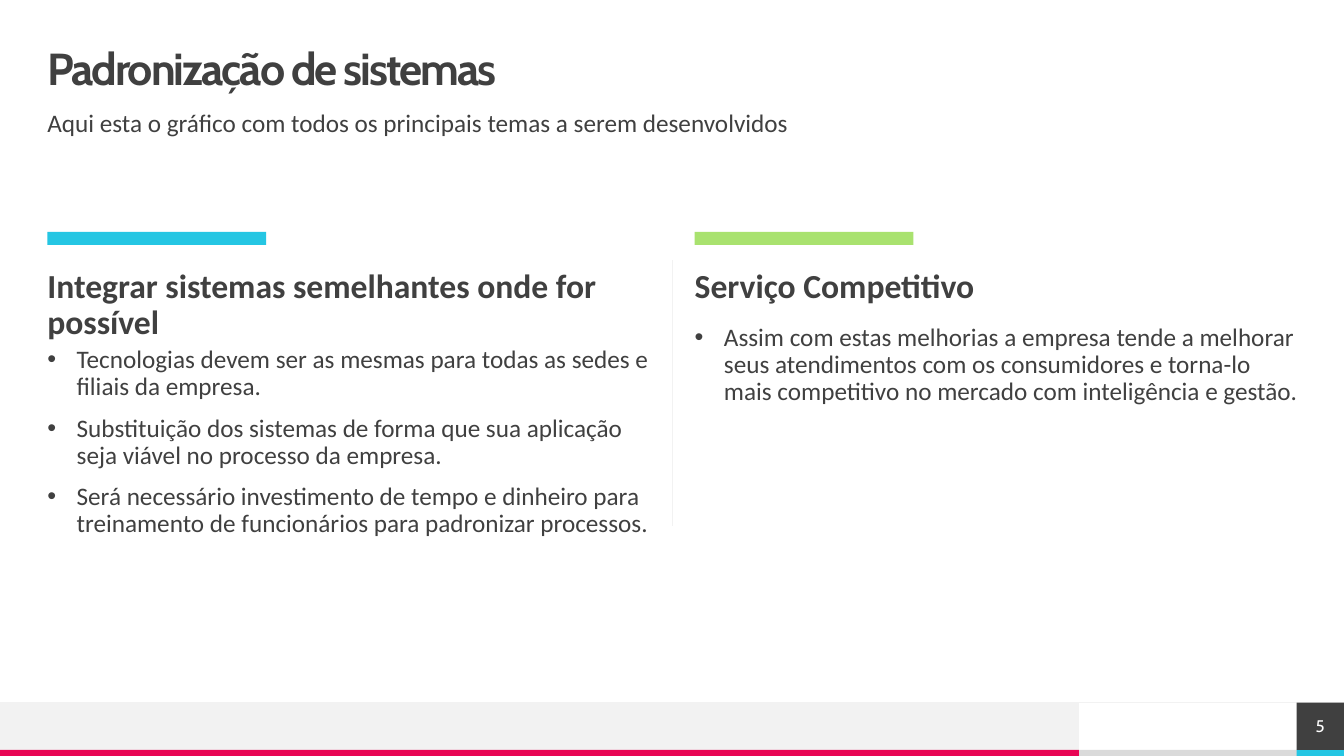
import pptx
import pptx.util
import pptx.dml.color
import pptx.enum.shapes
import pptx.enum.text
import pptx.oxml
import pptx.oxml.ns

Inches = pptx.util.Inches
Pt = pptx.util.Pt
Align = pptx.enum.text.PP_ALIGN
Anchor = pptx.enum.text.MSO_ANCHOR

HUES = {
    "white": "FFFFFF",
    "pale": "F2F2F2",
    "grey": "DADADA",
    "dark": "404040",
    "blue": "25C6E3",
    "green": "A9E26F",
    "pink": "E80554",
}
WIDTH, HEIGHT = 13.33, 7.5
LEFT, RIGHT = 0.47, 6.89
COLUMN, FULL = 5.98, 12.4
TAB = 2.17
FOOT, STRIP, EDGE = 6.97, 7.44, 12.86
BAND = 10.7


def color(name):
    return pptx.dml.color.RGBColor.from_string(HUES[name])


def bar(slide, box, hue):
    kind = pptx.enum.shapes.MSO_SHAPE.RECTANGLE
    shape = slide.shapes.add_shape(kind, *map(Inches, box))
    shape.shadow.inherit = False
    shape.fill.solid()
    shape.fill.fore_color.rgb = color(hue)
    shape.line.fill.background()
    return shape


def line(slide, start, end):
    kind = pptx.enum.shapes.MSO_CONNECTOR.STRAIGHT
    rule = slide.shapes.add_connector(kind, *map(Inches, start + end))
    rule.line.color.rgb = color("pale")
    rule.line.width = Pt(0.5)
    props = rule._element.spPr
    props.append(pptx.oxml.parse_xml(
        f'<a:effectLst {pptx.oxml.ns.nsdecls("a")}/>'))


def bullet(para):
    props = para._p.get_or_add_pPr()
    props.set("marL", str(Inches(0.29)))
    props.set("indent", str(Inches(-0.29)))
    spaces = pptx.oxml.ns.nsdecls("a")
    props.append(pptx.oxml.parse_xml(
        f'<a:buFont {spaces} typeface="Arial"/>'))
    props.append(pptx.oxml.parse_xml(f'<a:buChar {spaces} char="•"/>'))


def text(shape, lines, size=18, face="Calibri", hue="dark", bold=False,
         track=0, align=Align.LEFT, anchor=Anchor.TOP, space=0.9,
         before=10, dots=False):
    frame = shape.text_frame
    frame.word_wrap = True
    frame.vertical_anchor = anchor
    frame.margin_left = frame.margin_right = 0
    frame.margin_top = frame.margin_bottom = 0
    for index, words in enumerate(lines):
        para = frame.add_paragraph() if index else frame.paragraphs[0]
        para.alignment = align
        para.line_spacing = space
        para.space_before = Pt(before)
        if dots:
            bullet(para)
        run = para.add_run()
        run.text = words
        run.font.name = face
        run.font.size = Pt(size)
        run.font.bold = bold
        run.font.color.rgb = color(hue)
        if track:
            run._r.get_or_add_rPr().set("spc", str(round(track * 100)))


def label(slide, box, lines, **style):
    shape = slide.shapes.add_textbox(*map(Inches, box))
    text(shape, lines, **style)


def footer(slide):
    bar(slide, (BAND, STRIP, TAB, 0.06), "grey")
    bar(slide, (0, FOOT, BAND, 0.47), "pale")
    bar(slide, (0, STRIP, BAND, 0.06), "pink")
    bar(slide, (EDGE, STRIP, 0.47, 0.06), "blue")
    line(slide, (WIDTH, FOOT), (0, FOOT))
    number = bar(slide, (EDGE, FOOT, 0.47, 0.47), "dark")
    text(number, ["5"], size=12, face="Cabin", hue="white", space=1.0,
         align=Align.CENTER, anchor=Anchor.MIDDLE, before=0)


def topic(slide, left, hue, head, wide, tall, top, points):
    bar(slide, (left, 2.3, TAB, 0.13), hue)
    label(slide, (left, 2.67, wide, tall), [head], size=24, bold=True)
    label(slide, (left, top, COLUMN, 5.62 - top), points, dots=True)


def main():
    deck = pptx.Presentation()
    deck.slide_width = Inches(WIDTH)
    deck.slide_height = Inches(HEIGHT)
    slide = deck.slides.add_slide(deck.slide_layouts[6])
    footer(slide)
    label(slide, (LEFT, 0.47, FULL, 0.47), ["Padronização de sistemas"],
          size=32, face="Cabin", bold=True, track=-1.5,
          anchor=Anchor.MIDDLE, before=0)
    label(slide, (LEFT, 1.1, FULL, 0.39),
          ["Aqui esta o gráfico com todos os principais temas a serem "
           "desenvolvidos"])
    topic(slide, LEFT, "blue",
          "Integrar sistemas semelhantes onde for possível",
          6.07, 0.77, 3.44,
          ["Tecnologias devem ser as mesmas para todas as sedes e filiais "
           "da empresa.",
           "Substituição dos sistemas de forma que sua aplicação seja "
           "viável no processo da empresa.",
           "Será necessário investimento de tempo e dinheiro para "
           "treinamento de funcionários para padronizar processos."])
    line(slide, (6.67, 2.58), (6.67, 5.22))
    topic(slide, RIGHT, "green", "Serviço Competitivo",
          COLUMN, 0.39, 3.22,
          ["Assim com estas melhorias a empresa tende a melhorar seus "
           "atendimentos com os consumidores e torna-lo mais competitivo "
           "no mercado com inteligência e gestão."])
    deck.save("out.pptx")


if __name__ == "__main__":
    main()
